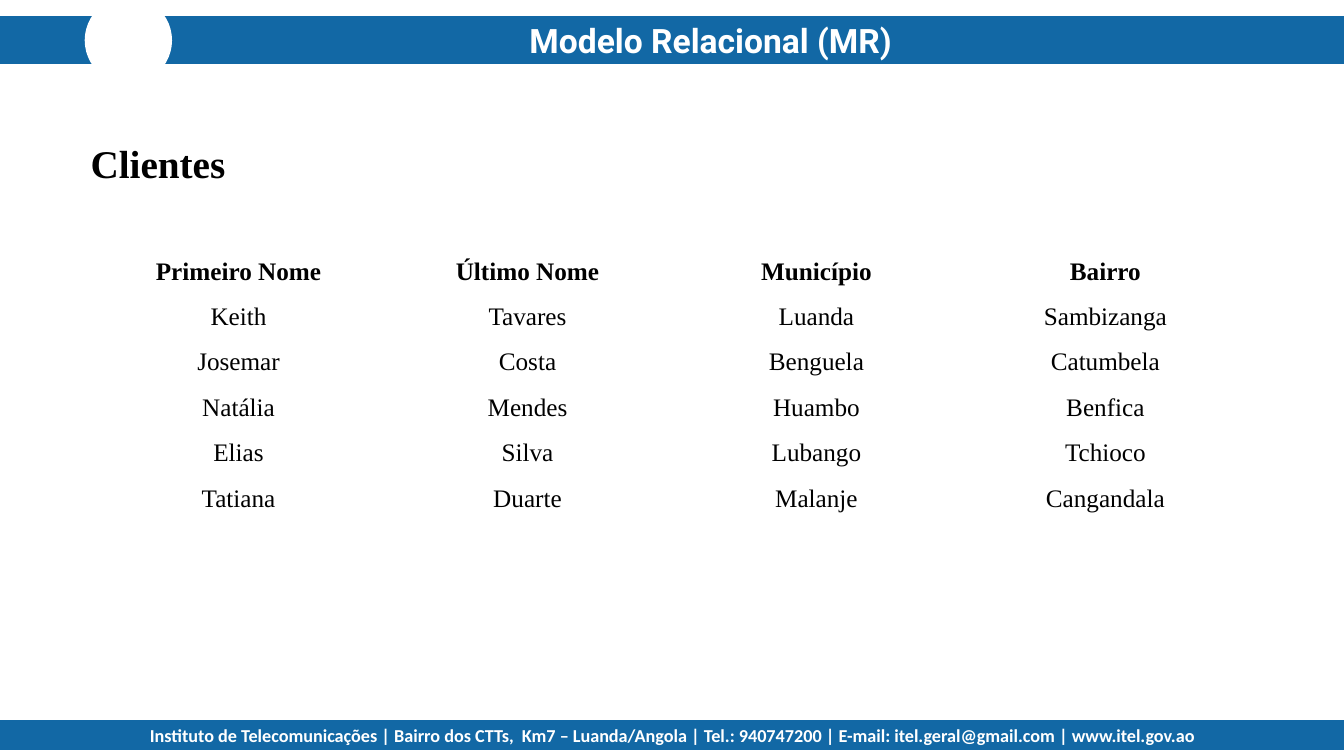
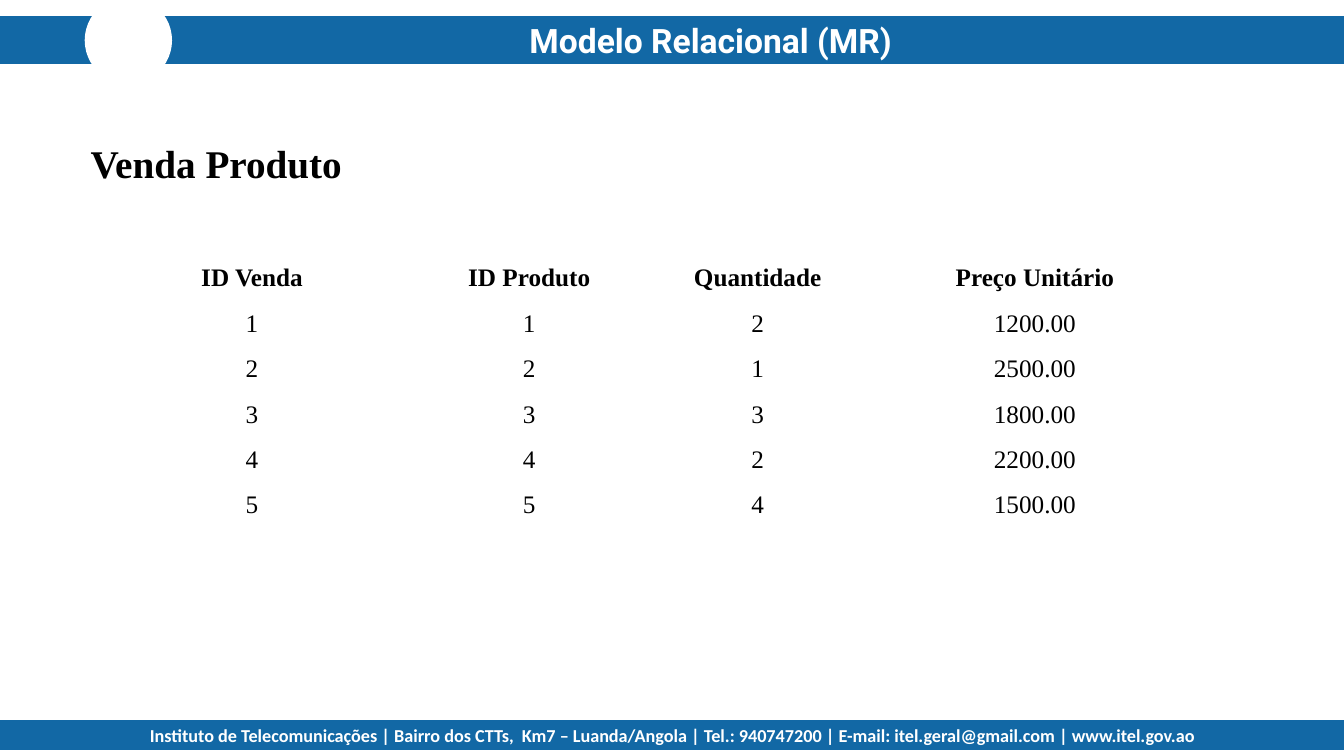
import pptx
import pptx.util
import pptx.dml.color
import pptx.enum.shapes
import pptx.enum.text

RGBColor = pptx.dml.color.RGBColor
BLUE = RGBColor(0x12, 0x68, 0xA5)
WHITE = RGBColor(0xFF, 0xFF, 0xFF)
BLACK = RGBColor(0x00, 0x00, 0x00)

SHAPE = pptx.enum.shapes.MSO_SHAPE
ALIGN = pptx.enum.text.PP_ALIGN
ANCHOR = pptx.enum.text.MSO_ANCHOR

COLS, ROWS = 40, 22.5
CELL = pptx.util.Inches(1) / 3
LINE = 1.35  # height of a table row, in grid rows

TITLE = "Modelo Relacional (MR)"
FOOTER = (
    "Instituto de Telecomunicações | Bairro dos CTTs,  Km7 – Luanda/Angola"
    " | Tel.: 940747200 | E-mail: itel.geral@gmail.com | www.itel.gov.ao"
)

CLIENTS = [
    ["Primeiro Nome", "Último Nome", "Município", "Bairro"],
    ["Keith", "Tavares", "Luanda", "Sambizanga"],
    ["Josemar", "Costa", "Benguela", "Catumbela"],
    ["Natália", "Mendes", "Huambo", "Benfica"],
    ["Elias", "Silva", "Lubango", "Tchioco"],
    ["Tatiana", "Duarte", "Malanje", "Cangandala"],
]
KEYS = [["ID Venda", "ID Produto"]] + [[str(n), str(n)] for n in range(1, 6)]
PRICES = [
    ["Quantidade", "Preço Unitário"],
    ["2", "1200.00"],
    ["1", "2500.00"],
    ["3", "1800.00"],
    ["2", "2200.00"],
    ["4", "1500.00"],
]


def grid(*cells):
    """Turn grid units into slide lengths."""
    return [pptx.util.Emu(round(n * CELL)) for n in cells]


class Deck:
    def __init__(self):
        self.show = pptx.Presentation()
        self.show.slide_width, self.show.slide_height = grid(COLS, ROWS)
        self.slide = None

    def label(self, frame, text, size, font, color, bold=True, align=ALIGN.CENTER):
        """Put one styled run into the frame and return its paragraph."""
        line = frame.paragraphs[0]
        line.alignment = align
        run = line.add_run()
        run.text = text
        run.font.size = pptx.util.Pt(size)
        run.font.name = font
        run.font.bold = bold
        run.font.color.rgb = color
        return line

    def shape(self, kind, box, fill):
        item = self.slide.shapes.add_shape(kind, *grid(*box))
        item.shadow.inherit = False
        item.fill.solid()
        item.fill.fore_color.rgb = fill
        item.line.color.rgb = fill
        item.line.width = pptx.util.Pt(1)
        return item

    def title(self, text):
        head = self.slide.shapes.title
        head.left, head.top, head.width, head.height = grid(10, 0.45, 22.3, 1.5)
        frame = head.text_frame
        frame.auto_size = pptx.enum.text.MSO_AUTO_SIZE.NONE
        frame.vertical_anchor = ANCHOR.MIDDLE
        self.label(frame, text, 24, "Roboto", WHITE)
        # Bring the title in front of the band.
        head.element.getparent().append(head.element)

    def footer(self, text):
        band = self.shape(SHAPE.RECTANGLE, (0, 21.45, COLS, 0.85), BLUE)
        frame = band.text_frame
        frame.margin_top = frame.margin_bottom = 0
        frame.vertical_anchor = ANCHOR.MIDDLE
        self.label(frame, text, 13, "Calibri", WHITE)

    def page(self, name):
        """Start a slide with its bands, title and heading."""
        self.slide = self.show.slides.add_slide(self.show.slide_layouts[5])
        self.shape(SHAPE.RECTANGLE, (0, 0.5, COLS, 1.4), BLUE)
        badge = self.shape(SHAPE.OVAL, (2.52, -0.1, 2.6, 2.6), WHITE)
        badge.line.fill.background()
        self.footer(FOOTER)
        self.title(TITLE)
        self.heading(name)

    def heading(self, text):
        box = self.slide.shapes.add_textbox(*grid(2.4, 4, 16.7, 1.7))
        box.text_frame.word_wrap = True
        self.label(box.text_frame, text, 28, "Times New Roman", BLACK,
                   align=ALIGN.LEFT)

    def table(self, left, top, widths, data):
        box = grid(left, top, sum(widths), LINE * len(data))
        table = self.slide.shapes.add_table(len(data), len(widths), *box).table
        table.first_row = table.horz_banding = False
        for col, width in zip(table.columns, grid(*widths)):
            col.width = width
        for r, row in enumerate(data):
            for c, text in enumerate(row):
                self.cell(table.cell(r, c), text, bold=r == 0)

    def cell(self, cell, text, bold):
        cell.fill.solid()
        cell.fill.fore_color.rgb = WHITE
        cell.margin_left = cell.margin_right = 0
        cell.margin_top = cell.margin_bottom = 0
        cell.vertical_anchor = ANCHOR.MIDDLE
        line = self.label(cell.text_frame, text, 18, "Times New Roman", BLACK, bold)
        line.line_spacing = 1.5


def main():
    deck = Deck()

    deck.page("Clientes")
    deck.table(2.8, 7.2, [8.6] * 4, CLIENTS)

    deck.page("Venda Produto")
    deck.table(3.4, 7.4, [8.2, 8.3], KEYS)
    deck.table(19.1, 7.4, [6.9, 9.6], PRICES)

    deck.show.save("out.pptx")


if __name__ == "__main__":
    main()
